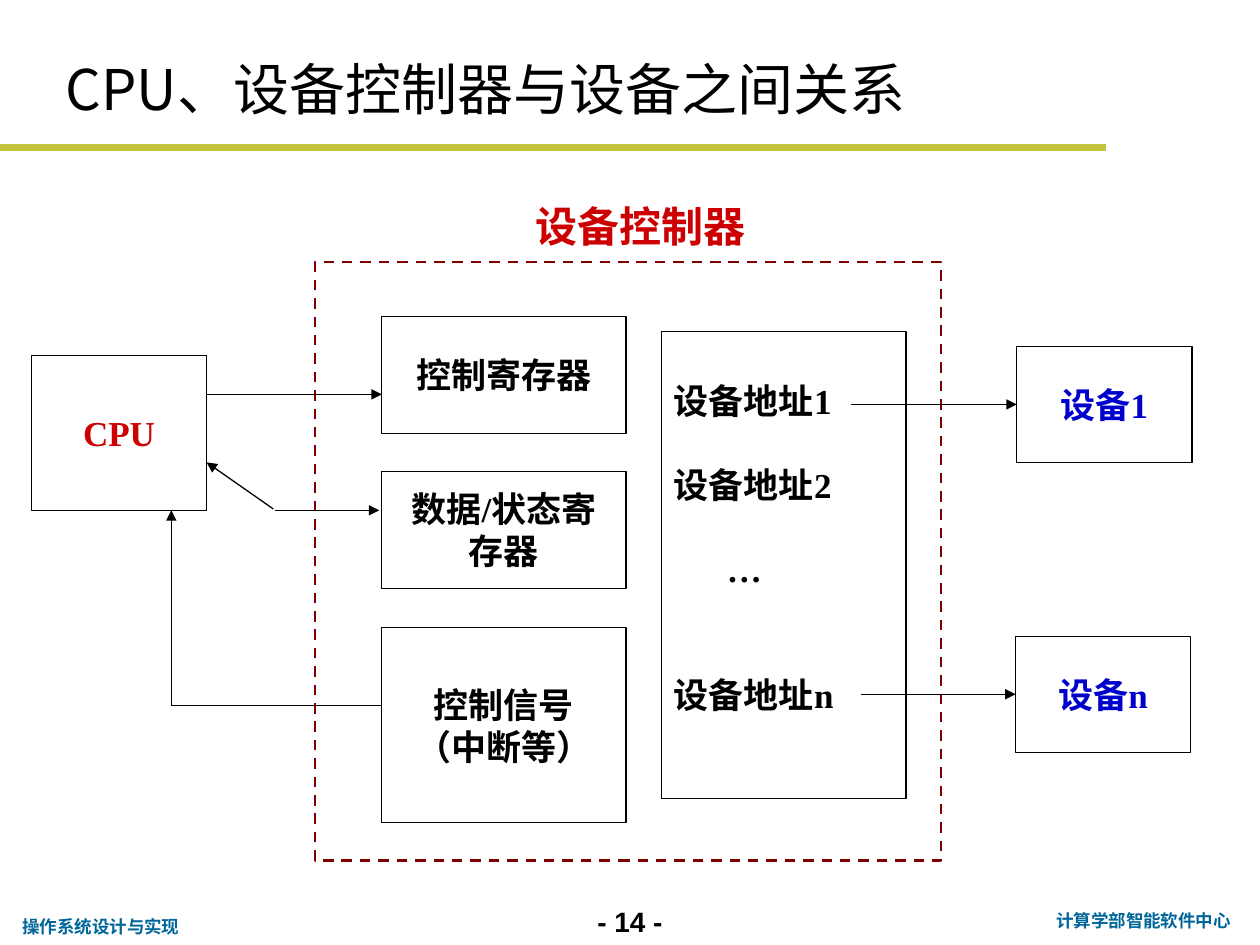
from dataclasses import dataclass

from lxml import etree
from pptx import Presentation
from pptx.dml.color import RGBColor
from pptx.enum.dml import MSO_LINE
from pptx.enum.shapes import MSO_CONNECTOR, MSO_SHAPE
from pptx.enum.text import MSO_ANCHOR, PP_ALIGN
from pptx.oxml.ns import qn
from pptx.util import Inches, Pt

RECT = MSO_SHAPE.RECTANGLE
STRAIGHT = MSO_CONNECTOR.STRAIGHT
DASH = MSO_LINE.DASH
MIDDLE, TOP = MSO_ANCHOR.MIDDLE, MSO_ANCHOR.TOP
LEFT, CENTER = PP_ALIGN.LEFT, PP_ALIGN.CENTER


@dataclass(frozen=True)
class Theme:
    black: RGBColor = RGBColor.from_string("000000")
    white: RGBColor = RGBColor.from_string("FFFFFF")
    red: RGBColor = RGBColor.from_string("CC0000")
    maroon: RGBColor = RGBColor.from_string("800000")
    blue: RGBColor = RGBColor.from_string("0000CC")
    teal: RGBColor = RGBColor.from_string("006699")
    olive: RGBColor = RGBColor.from_string("C1C43C")
    title: int = 32
    heading: int = 24
    body: int = 20
    page: int = 16
    footer: int = 10
    serif: str = "Times New Roman"


T = Theme()

prs = Presentation()
prs.slide_width, prs.slide_height = Inches(10), Inches(7.5)
s = prs.slides.add_slide(prs.slide_layouts[6])


def add_box(x, y, w, h, lines=(), color=T.black, size=T.body, line=T.black, width=0.75):
    sp = s.shapes.add_shape(RECT, Inches(x), Inches(y), Inches(w), Inches(h))
    sp.shadow.inherit = False
    sp.fill.solid()
    sp.fill.fore_color.rgb = T.white
    if line is None:
        sp.line.fill.background()
    else:
        sp.line.color.rgb = line
        sp.line.width = Pt(width)
    tf = sp.text_frame
    tf.word_wrap = True
    tf.vertical_anchor = MIDDLE
    for i, text in enumerate(lines):
        p = tf.paragraphs[0] if i == 0 else tf.add_paragraph()
        p.text = text
        p.alignment = CENTER
        p.font.size, p.font.bold, p.font.name = Pt(size), True, T.serif
        p.font.color.rgb = color
    return sp


def add_line(x1, y1, x2, y2, arrow=None, color=T.black, width=0.75):
    cx = s.shapes.add_connector(STRAIGHT, Inches(x1), Inches(y1), Inches(x2), Inches(y2))
    cx.line.color.rgb = color
    cx.line.width = Pt(width)
    if arrow:
        etree.SubElement(cx.line._get_or_add_ln(), qn(f"a:{arrow}"), type="triangle")
    etree.SubElement(cx._element.spPr, qn("a:effectLst"))
    return cx


add_line(0, 1.17, 8.78, 1.17, color=T.olive, width=4)

captions = [
    ("- 14 -", 4.5, 7.13, 1, 0.37, T.page, "Arial", T.black, True, CENTER, TOP),
    ("计算学部智能软件中心", 8.25, 7.17, 1.65, 0.27, T.footer, "Roboto", T.teal, True, CENTER, TOP),
    ("操作系统设计与实现", 0.08, 7.22, 1.46, 0.27, T.footer, "Roboto", T.teal, True, LEFT, TOP),
    ("CPU、设备控制器与设备之间关系", 0.42, 0.33, 8.58, 0.74, T.title,
     "Noto Sans CJK SC", T.black, False, LEFT, MIDDLE),
]
for text, x, y, w, h, size, font, color, bold, align, anchor in captions:
    tf = s.shapes.add_textbox(Inches(x), Inches(y), Inches(w), Inches(h)).text_frame
    tf.word_wrap = True
    tf.vertical_anchor = anchor
    p = tf.paragraphs[0]
    p.text = text
    p.alignment = align
    p.font.size, p.font.bold, p.font.name = Pt(size), bold, font
    p.font.color.rgb = color

add_box(3.83, 1.33, 2.5, 0.93, ["设备控制器"], T.red, T.heading, line=None)
controller = add_box(2.5, 2.08, 4.97, 4.75, line=T.maroon, width=1.5)
controller.line.dash_style = DASH

registers = [
    (2.51, 0.93, ["控制寄存器"]),
    (3.74, 0.93, ["数据/状态寄存器"]),
    (4.98, 1.55, ["控制信号", "（中断等）"]),
]
for y, h, lines in registers:
    add_box(3.03, y, 1.94, h, lines)

addresses = add_box(5.25, 2.63, 1.94, 3.71, ["设备地址1", "设备地址2", "…", "设备地址n"])
tf = addresses.text_frame
tf.vertical_anchor = TOP
tf.margin_top = Inches(0.38)
for p, gap in zip(tf.paragraphs, (0, 24, 24, 48)):
    p.alignment = LEFT
    p.space_before = Pt(gap)
tf.paragraphs[2]._p.get_or_add_pPr().set("marL", str(Inches(0.42)))

add_box(0.25, 2.82, 1.39, 1.23, ["CPU"], T.red)

for x1, y1, x2, y2, arrow in [
    (3.03, 5.6, 1.36, 5.6, None),
    (1.36, 5.6, 1.36, 4.05, "tailEnd"),
    (1.64, 3.13, 3.03, 3.13, "tailEnd"),
    (1.64, 3.67, 2.17, 4.04, "headEnd"),
    (2.18, 4.05, 3.01, 4.05, "tailEnd"),
]:
    add_line(x1, y1, x2, y2, arrow)

for name, x, y, start in [("设备1", 8.07, 2.75, 6.75), ("设备n", 8.06, 5.05, 6.83)]:
    device = add_box(x, y, 1.39, 0.92, [name], T.blue)
    cx = add_line(start, y + 0.46, x, y + 0.46, "tailEnd")
    cx.end_connect(device, 1)

prs.save("out.pptx")
